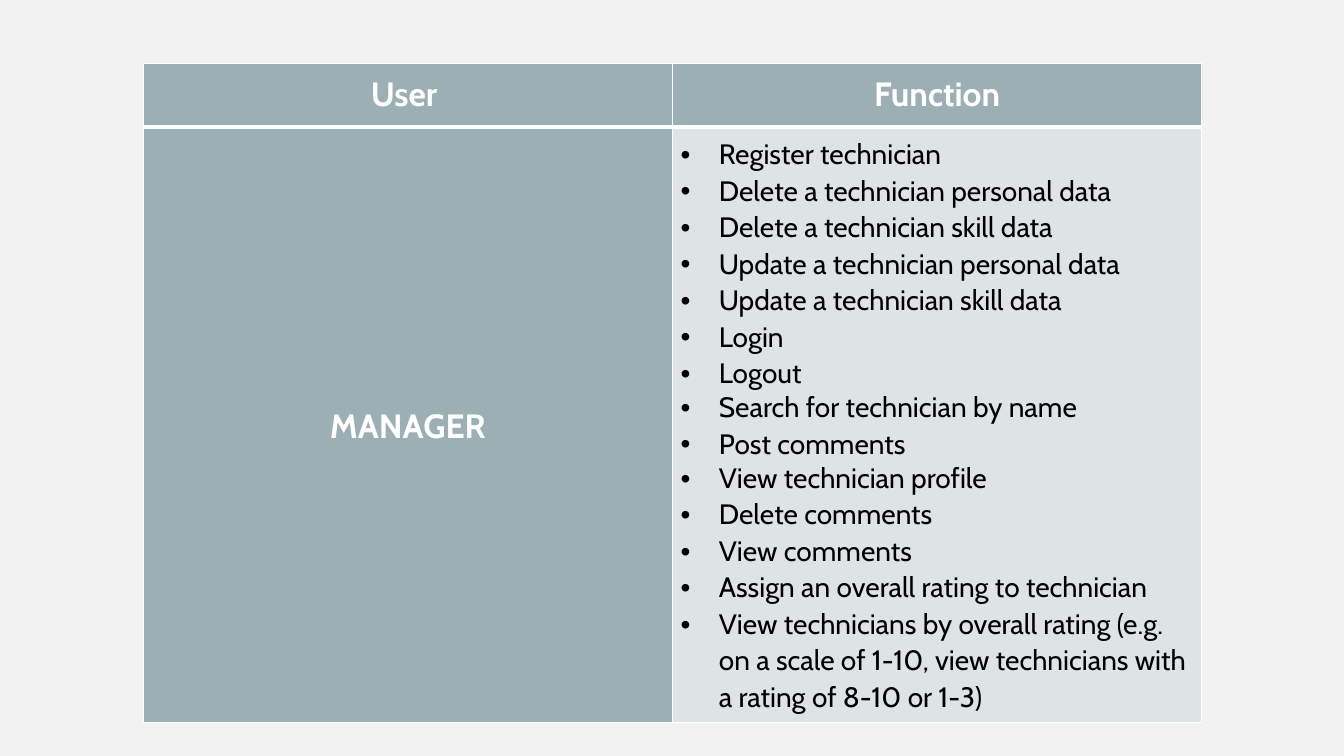
from lxml import etree
from pptx import Presentation
from pptx.dml.color import RGBColor
from pptx.enum import text
from pptx.oxml import ns
from pptx.util import Inches, Pt

FONT = "Cabin"
WHITE, BLACK, TEAL, PALE, BACKGROUND = "FFFFFF", "000000", "9BAFB5", "DEE3E5", "F2F2F2"
LINE_SPACING = 1.07
INSET = 0.08
BULLET_INDENT = 0.38
FUNCTIONS = [
    "Register technician",
    "Delete a technician personal data",
    "Delete a technician skill data",
    "Update a technician personal data",
    "Update a technician skill data",
    "Login",
    "Logout",
    "Search for technician by name",
    "Post comments",
    "View technician profile",
    "Delete comments",
    "View comments",
    "Assign an overall rating to technician",
    "View technicians by overall rating (e.g. on a scale of 1-10, "
    "view technicians with a rating of 8-10 or 1-3)",
]
SINGLE_SPACED = {"Search for technician by name", "View technician profile"}


def set_fill(fill, color):
    """Fill with a solid hex colour."""
    fill.solid()
    fill.fore_color.rgb = RGBColor.from_string(color)


def set_borders(cell, top, bottom):
    """Draw white cell borders, with top and bottom widths in points."""
    properties = cell._tc.get_or_add_tcPr()
    widths = {"a:lnL": 1, "a:lnR": 1, "a:lnT": top, "a:lnB": bottom}
    for index, (side, width) in enumerate(widths.items()):
        line = etree.Element(ns.qn(side), w=str(Pt(width)))
        fill = etree.SubElement(line, ns.qn("a:solidFill"))
        etree.SubElement(fill, ns.qn("a:srgbClr"), val=WHITE)
        properties.insert(index, line)


def add_bullet(paragraph):
    """Give a paragraph a hanging bullet."""
    properties = paragraph._p.get_or_add_pPr()
    properties.set("marL", str(Inches(BULLET_INDENT)))
    properties.set("indent", str(-Inches(BULLET_INDENT)))
    etree.SubElement(properties, ns.qn("a:buFont"), typeface="Arial")
    etree.SubElement(properties, ns.qn("a:buChar"), char="•")


def fill_cell(cell, lines, fill, color, size, heading):
    """Write lines in a cell, as a centred heading or a bulleted list."""
    set_fill(cell.fill, fill)
    cell.margin_left = cell.margin_right = Inches(INSET)
    cell.margin_top = cell.margin_bottom = Inches(INSET)
    cell.text = "\n".join(lines)
    for paragraph in cell.text_frame.paragraphs:
        single = paragraph.text in SINGLE_SPACED
        paragraph.line_spacing = 1.0 if single else LINE_SPACING
        paragraph.font.name = FONT
        paragraph.font.size = Pt(size)
        paragraph.font.bold = heading
        paragraph.font.color.rgb = RGBColor.from_string(color)
        if heading:
            paragraph.alignment = text.PP_ALIGN.CENTER
        else:
            add_bullet(paragraph)


def add_function_table(slide, left, top, width, height, header_height=0.63):
    """Place the table of a user and the functions open to that user."""
    table = slide.shapes.add_table(
        2, 2, Inches(left), Inches(top), Inches(width), Inches(height)
    ).table
    for column in table.columns:
        column.width = Inches(width / 2)
    table.rows[0].height = Inches(header_height)
    table.rows[1].height = Inches(height - header_height)

    headings = {(0, 0): "User ", (0, 1): "Function", (1, 0): "MANAGER"}
    for (row, column), heading in headings.items():
        fill_cell(table.cell(row, column), [heading], TEAL, WHITE, 24, True)
    fill_cell(table.cell(1, 1), FUNCTIONS, PALE, BLACK, 20, False)

    for column in range(2):
        set_borders(table.cell(0, column), top=1, bottom=3)
        set_borders(table.cell(1, column), top=3, bottom=1)
        table.cell(1, column).vertical_anchor = text.MSO_ANCHOR.MIDDLE


def main():
    """Build and save the slide."""
    presentation = Presentation()
    presentation.slide_width = Inches(13.33)
    presentation.slide_height = Inches(7.5)
    slide = presentation.slides.add_slide(presentation.slide_layouts[6])
    set_fill(slide.background.fill, BACKGROUND)
    add_function_table(slide, 1.42, 0.63, 10.5, 6.5)
    presentation.save("out.pptx")


if __name__ == "__main__":
    main()
